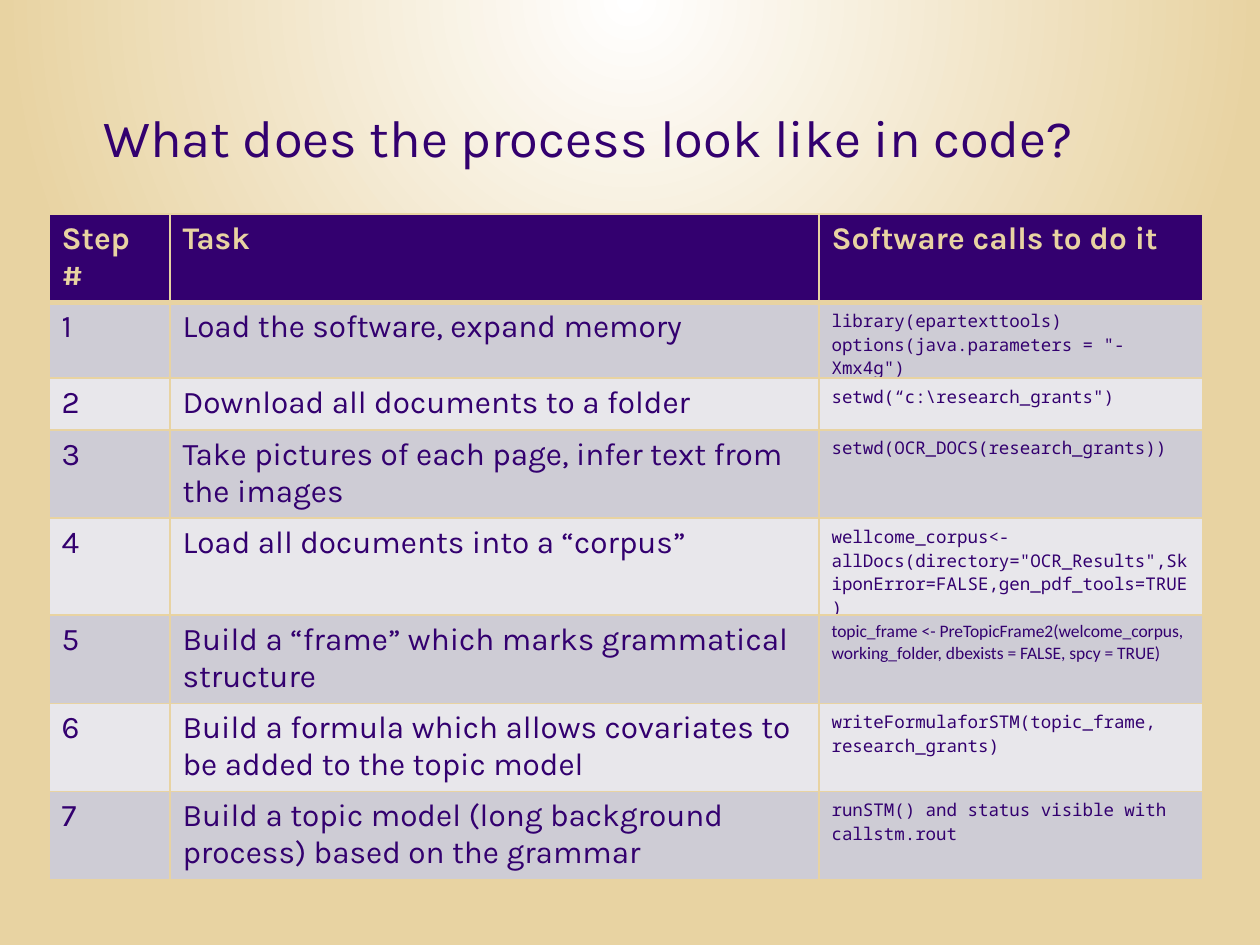
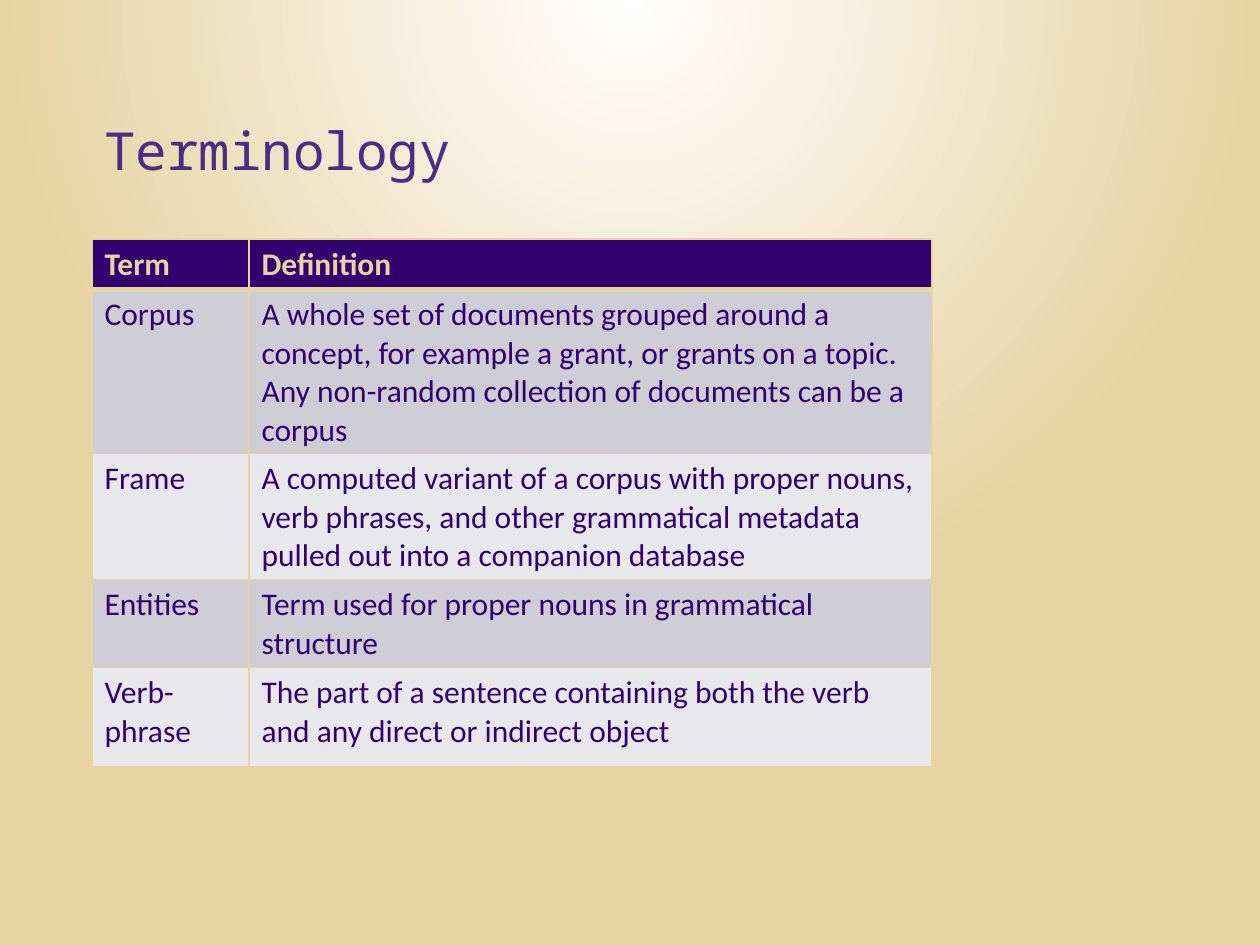
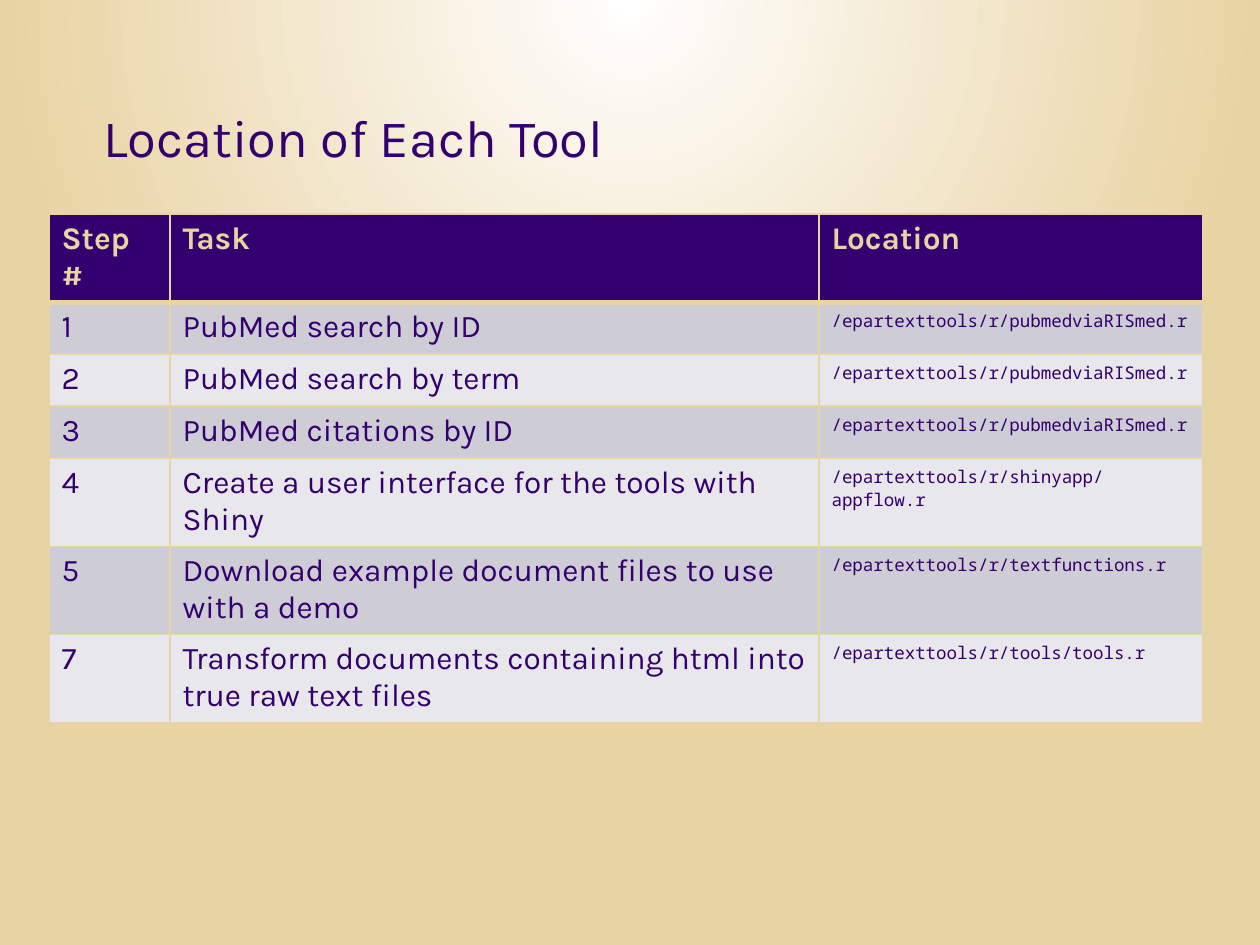
import pptx
import pptx.dml.color
import pptx.enum.text
import pptx.oxml.ns
import pptx.util
from lxml import etree

EMU_PER_PX = 914400 / 126
PURPLE, LIGHT_PURPLE, GOLD = "33006F", "4B2E83", "E8D3A2"
BAND_FILLS = ("CECCD5", "E8E7EB")
SANS, MONO, PLAIN = "Karla", "Noto Sans Mono", "Calibri"
BODY_SIZE, CODE_SIZE, TITLE_SIZE = 18, 10, 30

BODY_STYLE, CODE_STYLE = (SANS, BODY_SIZE), (MONO, CODE_SIZE)
STEP_TABLE = {
    "title_at": (91, 39),
    "title_style": (SANS, PURPLE),
    "table_at": (49, 214),
    "columns": (121, 649, 384),
    "styles": (BODY_STYLE, BODY_STYLE, CODE_STYLE),
    "header_style": BODY_STYLE,
}

SLIDES = [
    {
        **STEP_TABLE,
        "title": "What does the process look like in code?",
        "row_heights": (44,) + (52,) * 7,
        "cell_styles": {(5, 2): (PLAIN, CODE_SIZE)},
        "rows": [
            ("Step #", "Task", "Software calls to do it"),
            ("1", "Load the software, expand memory",
             'library(epartexttools)\noptions(java.parameters = "-Xmx4g")'),
            ("2", "Download all documents to a folder",
             'setwd(“c:\\research_grants")'),
            ("3", "Take pictures of each page, infer text from the images",
             "setwd(OCR_DOCS(research_grants))"),
            ("4", "Load all documents into a “corpus”",
             'wellcome_corpus<-allDocs(directory="OCR_Results",'
             "SkiponError=FALSE,gen_pdf_tools=TRUE)"),
            ("5", "Build a “frame” which marks grammatical structure",
             "topic_frame <- PreTopicFrame2(welcome_corpus, "
             "working_folder, dbexists = FALSE, spcy = TRUE)"),
            ("6", "Build a formula which allows covariates to be added to the topic model",
             "writeFormulaforSTM(topic_frame, research_grants)"),
            ("7", "Build a topic model (long background process) based on the grammar",
             "runSTM() and status visible with callstm.rout"),
        ],
    },
    {
        "title": "Terminology",
        "title_at": (92, 52),
        "title_style": (MONO, LIGHT_PURPLE),
        "table_at": (92, 239),
        "columns": (157, 683),
        "styles": ((PLAIN, BODY_SIZE),) * 2,
        "header_style": (PLAIN, BODY_SIZE),
        "row_heights": (47, 152, 117, 82, 99),
        "rows": [
            ("Term", "Definition"),
            ("Corpus",
             "A whole set of documents grouped around a concept, for example a grant, "
             "or grants on a topic. Any non-random collection of documents can be a corpus"),
            ("Frame",
             "A computed variant of a corpus with proper nouns, verb phrases, and other "
             "grammatical metadata pulled out into a companion database"),
            ("Entities", "Term used for proper nouns in grammatical structure"),
            ("Verb-phrase",
             "The part of a sentence containing both the verb and any direct or indirect object"),
        ],
    },
    {
        **STEP_TABLE,
        "title": "Location of Each Tool",
        "row_heights": (44,) + (52,) * 6,
        "rows": [
            ("Step #", "Task", "Location"),
            ("1", "PubMed search by ID", "/epartexttools/r/pubmedviaRISmed.r"),
            ("2", "PubMed search by term", "/epartexttools/r/pubmedviaRISmed.r"),
            ("3", "PubMed citations by ID", "/epartexttools/r/pubmedviaRISmed.r"),
            ("4", "Create a user interface for the tools with Shiny",
             "/epartexttools/r/shinyapp/appflow.r"),
            ("5", "Download example document files to use with a demo",
             "/epartexttools/r/textfunctions.r"),
            ("7", "Transform documents containing html into true raw text files",
             "/epartexttools/r/tools/tools.r"),
        ],
    },
]


def px(length):
    return pptx.util.Emu(round(length * EMU_PER_PX))


def color(hex_string):
    return pptx.dml.color.RGBColor.from_string(hex_string)


def add_element(parent, tag, **attributes):
    return etree.SubElement(parent, pptx.oxml.ns.qn(tag), attributes)


def set_font(paragraph, name, size, hex_color, bold=False):
    font = paragraph.font
    font.name, font.size, font.bold = name, pptx.util.Pt(size), bold
    font.color.rgb = color(hex_color)


def set_background(master):
    """Give the master a round glow that starts above the top edge."""
    master.background.fill.gradient()
    gradient = master.element.find(".//" + pptx.oxml.ns.qn("a:gradFill"))
    for child in list(gradient):
        gradient.remove(child)
    stops = add_element(gradient, "a:gsLst")
    for position, hex_color in ((0, "FFFFFF"), (80000, GOLD)):
        stop = add_element(stops, "a:gs", pos=str(position))
        add_element(stop, "a:srgbClr", val=hex_color)
    circle = add_element(gradient, "a:path", path="circle")
    add_element(circle, "a:fillToRect", l="50000", t="-80000", r="50000", b="180000")


def add_title(slide, content):
    left, top = content["title_at"]
    box = slide.shapes.add_textbox(px(left), px(top), px(1128), px(136))
    frame = box.text_frame
    frame.word_wrap = True
    frame.vertical_anchor = pptx.enum.text.MSO_ANCHOR.BOTTOM
    frame.text = content["title"]
    paragraph = frame.paragraphs[0]
    paragraph.line_spacing = 0.9
    name, hex_color = content["title_style"]
    set_font(paragraph, name, TITLE_SIZE, hex_color)


def set_borders(cell, row_index):
    """Draw thin gold borders, with a thick one under the header."""
    properties = cell._tc.get_or_add_tcPr()
    thick_side = {0: "B", 1: "T"}.get(row_index)
    for side in "LRTB":
        width = pptx.util.Pt(3 if side == thick_side else 1)
        line = add_element(properties, "a:ln" + side, w=str(width))
        fill = add_element(line, "a:solidFill")
        add_element(fill, "a:srgbClr", val=GOLD)


def add_table(slide, content):
    left, top = content["table_at"]
    rows, columns, heights = content["rows"], content["columns"], content["row_heights"]
    table = slide.shapes.add_table(
        len(rows), len(columns), px(left), px(top), px(sum(columns)), px(sum(heights))
    ).table
    for column, width in zip(table.columns, columns):
        column.width = px(width)
    for row, height in zip(table.rows, heights):
        row.height = px(height)

    special_styles = content.get("cell_styles", {})
    for row_index, texts in enumerate(rows):
        header = row_index == 0
        for column_index, text in enumerate(texts):
            cell = table.cell(row_index, column_index)
            set_borders(cell, row_index)
            cell.fill.solid()
            cell.fill.fore_color.rgb = color(
                PURPLE if header else BAND_FILLS[(row_index - 1) % 2])
            if header:
                style = content["header_style"]
            else:
                style = special_styles.get(
                    (row_index, column_index), content["styles"][column_index])
            cell.text_frame.text = text
            for paragraph in cell.text_frame.paragraphs:
                set_font(paragraph, *style, GOLD if header else PURPLE, bold=header)


def main():
    presentation = pptx.Presentation()
    presentation.slide_width, presentation.slide_height = px(1260), px(945)
    set_background(presentation.slide_master)
    for content in SLIDES:
        slide = presentation.slides.add_slide(presentation.slide_layouts[6])
        add_title(slide, content)
        add_table(slide, content)
    presentation.save("out.pptx")


if __name__ == "__main__":
    main()
